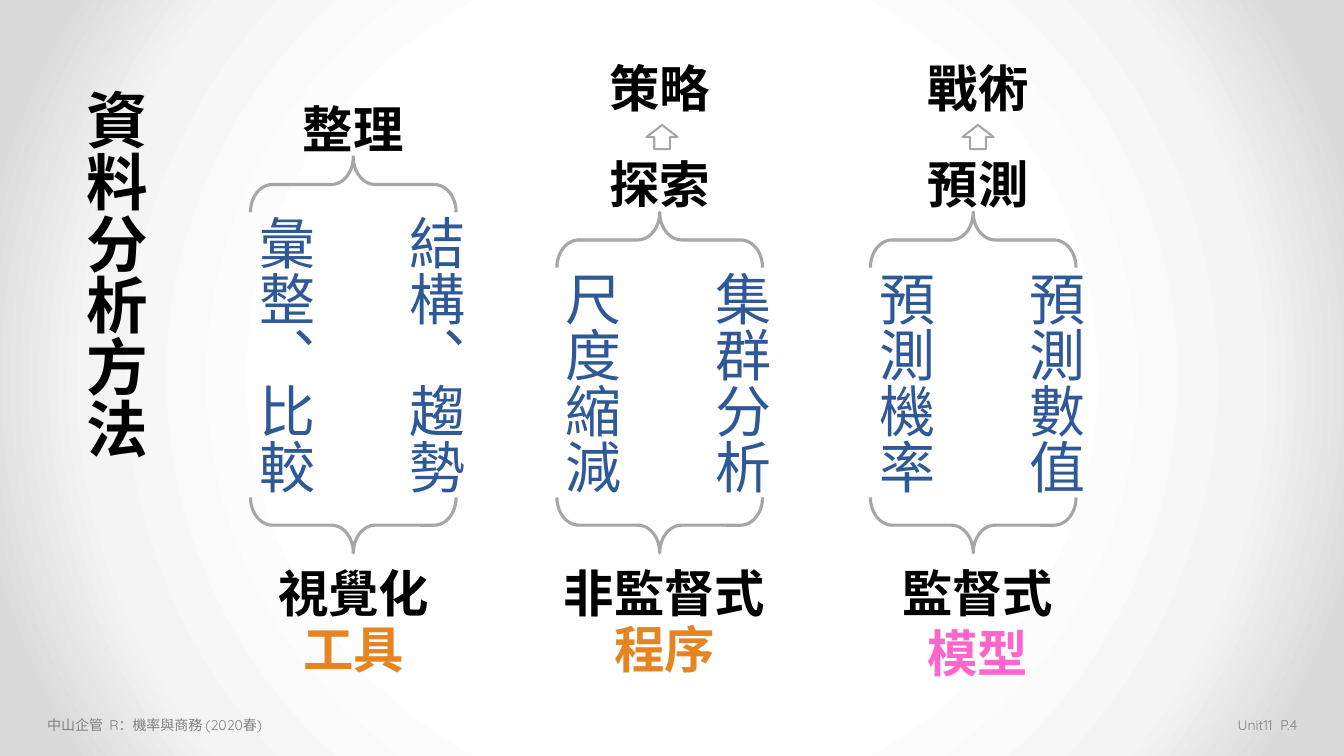
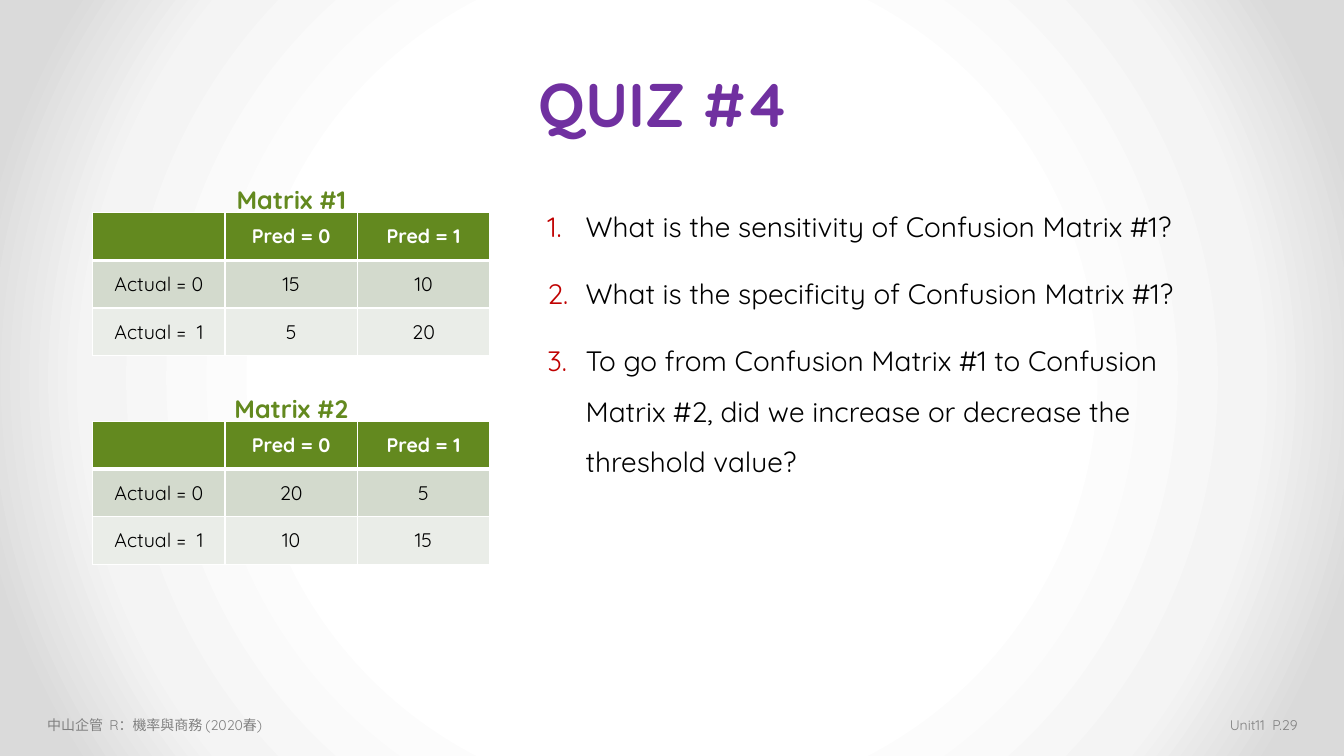
from dataclasses import dataclass
from typing import NamedTuple

from pptx import Presentation
from pptx.dml.color import RGBColor
from pptx.enum.shapes import MSO_SHAPE
from pptx.enum.text import MSO_ANCHOR, MSO_AUTO_SIZE, PP_ALIGN
from pptx.oxml import parse_xml
from pptx.oxml.ns import nsdecls, qn
from pptx.util import Emu, Inches, Pt

# Shared style: a grid of 160 columns by 90 rows, fonts and colours
COLUMNS, ROWS = 160, 90
CELL = Inches(7.5) // ROWS
LATIN, CJK = "Quicksand", "Noto Sans CJK SC"
BLACK, WHITE, GRAY, BRACE = "000000", "FFFFFF", "808080", "A6A6A6"
BLUE, ORANGE, PINK = "2F5897", "E68422", "FF66CC"
PURPLE, RED, GREEN = "7030A0", "C00000", "63891F"
ROW_FILLS = (GREEN, "D3DACD", "EAEDE8")
BACKDROP = ((50, WHITE), (76, "F4F4F4"), (92, "DADADA"))


class Box(NamedTuple):
    """Place and size in grid cells."""
    left: float
    top: float
    width: float
    height: float

    def emu(self) -> list[Emu]:
        return [Emu(round(cells * CELL)) for cells in self]


@dataclass
class Method:
    centre: float
    heading_x: float
    label_x: float
    brace_y: float
    headings: tuple[str, ...]
    words: tuple[str, str]
    kind: str
    output: str
    output_top: float
    output_color: str


@dataclass
class Matrix:
    caption: str
    top: float
    counts: tuple[tuple[int, int], tuple[int, int]]


METHODS = (
    Method(42.06, 42.06, 42.1, 21.96, ("整理",), ("彙整、比較", "結構、趨勢"),
           "視覺化", "工具", 72.96, ORANGE),
    Method(78.54, 78.54, 79.1, 28.56, ("探索", "策略"), ("尺度縮減", "集群分析"),
           "非監督式", "程序", 72.96, ORANGE),
    Method(115.86, 116.46, 116.4, 28.56, ("預測", "戰術"), ("預測機率", "預測數值"),
           "監督式", "模型", 73.44, PINK),
)
MATRICES = (
    Matrix("Matrix #1", 25.32, ((15, 10), (5, 20))),
    Matrix("Matrix #2", 50.16, ((20, 5), (10, 15))),
)
QUESTIONS = (
    "What is the sensitivity of Confusion Matrix #1?",
    "What is the specificity of Confusion Matrix #1?",
    "To go from Confusion Matrix #1 to Confusion Matrix #2, "
    "did we increase or decrease the threshold value?",
)


def rgb(color: str) -> RGBColor:
    return RGBColor.from_string(color)


def write(frame, text: str, *, size: float, color: str = BLACK, bold: bool = False,
          font: str = LATIN, align=PP_ALIGN.LEFT) -> None:
    """Fill a text frame, one paragraph for each line of text."""
    frame.text = text
    for paragraph in frame.paragraphs:
        paragraph.alignment = align
        for run in paragraph.runs:
            run.font.size, run.font.bold, run.font.name = Pt(size), bold, font
            run.font.color.rgb = rgb(color)
            run._r.get_or_add_rPr().append(
                parse_xml(f'<a:ea {nsdecls("a")} typeface="{CJK}"/>'))


def turn_vertical(shape) -> None:
    shape.element.find(".//" + qn("a:bodyPr")).set("vert", "eaVert")


def add_text(slide, box: Box, text: str, *, wrap: bool = True, vertical: bool = False,
             **style) -> None:
    shape = slide.shapes.add_textbox(*box.emu())
    frame = shape.text_frame
    frame.word_wrap = wrap
    frame.auto_size = MSO_AUTO_SIZE.SHAPE_TO_FIT_TEXT
    if vertical:
        turn_vertical(shape)
    write(frame, text, **style)


def place(holder, box: Box, text: str, *, anchor=MSO_ANCHOR.MIDDLE, **style):
    """Move a placeholder and fill it."""
    holder.left, holder.top, holder.width, holder.height = box.emu()
    frame = holder.text_frame
    frame.auto_size, frame.vertical_anchor = MSO_AUTO_SIZE.NONE, anchor
    write(frame, text, **style)
    return frame


def set_title(slide, box: Box, text: str, **style) -> None:
    place(slide.shapes.title, box, text, size=44, bold=True, **style)


def set_backdrop(master) -> None:
    fill = master.background.fill
    fill.gradient()
    stops = "".join(f'<a:gs pos="{share * 1000}"><a:srgbClr val="{color}"/></a:gs>'
                    for share, color in BACKDROP)
    plain = master.element.find(".//" + qn("p:bgPr")).find(qn("a:gradFill"))
    plain.getparent().replace(plain, parse_xml(
        f'<a:gradFill {nsdecls("a")} rotWithShape="1"><a:gsLst>{stops}</a:gsLst>'
        '<a:path path="circle"><a:fillToRect l="50000" t="50000" r="50000" b="50000"/>'
        '</a:path></a:gradFill>'))


def new_slide(deck, layout: int, page: int):
    """Add a slide with the course and page footers."""
    slide = deck.slides.add_slide(deck.slide_layouts[layout])
    add_text(slide, Box(4.44, 84.72, 32.16, 3.24), "中山企管  R：機率與商務 (2020春)",
             size=10, color=GRAY)
    add_text(slide, Box(120.36, 84.72, 35.28, 3.24), f"Unit11  P.{page}",
             size=10, color=GRAY, align=PP_ALIGN.RIGHT)
    return slide


# Methods slide
def add_outline(slide, preset, box: Box, line_width: float):
    shape = slide.shapes.add_shape(preset, *box.emu())
    shape.shadow.inherit = False
    shape.fill.background()
    shape.line.color.rgb = rgb(BRACE)
    shape.line.width = Pt(line_width)
    return shape


def add_brace(slide, centre: float, middle: float, rotation: int) -> None:
    depth, span = 6.6, 24.48
    brace = add_outline(slide, MSO_SHAPE.RIGHT_BRACE,
                        Box(centre - depth / 2, middle - span / 2, depth, span), 2.25)
    brace.adjustments[0] = 0.395
    brace.rotation = rotation


def add_label(slide, centre: float, top: float, text: str, color: str = BLACK) -> None:
    width = 6 * len(text) + 2.5
    add_text(slide, Box(centre - width / 2, top, width, 8.52), text, wrap=False,
             size=36, bold=True, color=color, align=PP_ALIGN.CENTER)


def add_method(slide, method: Method) -> None:
    add_brace(slide, method.centre, method.brace_y, 270)
    add_brace(slide, method.centre, 62.52, 90)
    for level, heading in enumerate(method.headings):
        add_label(slide, method.heading_x,
                  method.brace_y - 10.92 - 11.4 * level, heading)
    if len(method.headings) > 1:
        add_outline(slide, MSO_SHAPE.UP_ARROW,
                    Box((method.heading_x + method.label_x) / 2 - 1.86,
                        14.88, 3.72, 2.88), 1.5)
    for offset, word in zip((-8.8, 9.1), method.words):
        add_text(slide, Box(method.centre + offset - 5.28, method.brace_y + 2.52,
                            10.56, 6.67 * len(word) + 1.4), word,
                 wrap=False, vertical=True, size=40, color=BLUE, font=CJK)
    add_label(slide, method.label_x, 66.3, method.kind)
    add_label(slide, method.label_x, method.output_top, method.output,
              method.output_color)


def build_methods(deck) -> None:
    slide = new_slide(deck, 5, 4)
    set_title(slide, Box(7.2, 10.08, 13.08, 65.28), "資料分析方法")
    turn_vertical(slide.shapes.title)
    for method in METHODS:
        add_method(slide, method)


# Quiz slide
def style_cell(cell, row: int) -> None:
    """Give a cell white borders, thick below the header, and its row's fill."""
    widths = {"L": 1, "R": 1, "T": 3 if row == 1 else 1, "B": 3 if row == 0 else 1}
    properties = cell._tc.get_or_add_tcPr()
    for side, width in widths.items():
        properties.append(parse_xml(
            f'<a:ln{side} {nsdecls("a")} w="{Pt(width)}"><a:solidFill>'
            f'<a:srgbClr val="{WHITE}"/></a:solidFill></a:ln{side}>'))
    cell.fill.solid()
    cell.fill.fore_color.rgb = rgb(ROW_FILLS[row])
    cell.vertical_anchor = MSO_ANCHOR.MIDDLE


def add_matrix(slide, matrix: Matrix) -> None:
    left, width, height = 11.04, 47.28, 17.04
    rows = (("", "Pred = 0", "Pred = 1"),
            ("Actual = 0", *matrix.counts[0]),
            ("Actual =  1", *matrix.counts[1]))
    table = slide.shapes.add_table(
        3, 3, *Box(left, matrix.top, width, height).emu()).table
    for r, values in enumerate(rows):
        for c, value in enumerate(values):
            cell = table.cell(r, c)
            style_cell(cell, r)
            write(cell.text_frame, str(value), size=14, bold=r == 0,
                  color=BLACK if r else WHITE, align=PP_ALIGN.CENTER)
    add_text(slide, Box(left, matrix.top - 3.96, width, 4.8), matrix.caption,
             size=18, bold=True, color=GREEN, align=PP_ALIGN.CENTER)


def number_list(frame) -> None:
    for paragraph in frame.paragraphs:
        paragraph.line_spacing = 1.5
        paragraph.space_before, paragraph.space_after = Pt(0), Pt(12)
        properties = paragraph._p.get_or_add_pPr()
        indent = Inches(0.38)
        properties.set("marL", str(indent))
        properties.set("indent", str(-indent))
        for bullet in (f'<a:buClr {nsdecls("a")}><a:srgbClr val="{RED}"/></a:buClr>',
                       f'<a:buFont {nsdecls("a")} typeface="+mj-lt"/>',
                       f'<a:buAutoNum {nsdecls("a")} type="arabicPeriod"/>'):
            properties.append(parse_xml(bullet.replace("+mj-lt", LATIN)))


def build_quiz(deck) -> None:
    slide = new_slide(deck, 1, 29)
    set_title(slide, Box(28.08, 6.6, 102, 11.28), "QUIZ #4",
              color=PURPLE, align=PP_ALIGN.CENTER)
    questions = place(slide.placeholders[1], Box(63.96, 22.32, 84.6, 35.52),
                      "\n".join(QUESTIONS), anchor=MSO_ANCHOR.TOP, size=20)
    number_list(questions)
    for matrix in MATRICES:
        add_matrix(slide, matrix)


def main() -> None:
    deck = Presentation()
    deck.slide_width, deck.slide_height = COLUMNS * CELL, ROWS * CELL
    set_backdrop(deck.slide_master)
    build_methods(deck)
    build_quiz(deck)
    deck.save("out.pptx")


if __name__ == "__main__":
    main()
